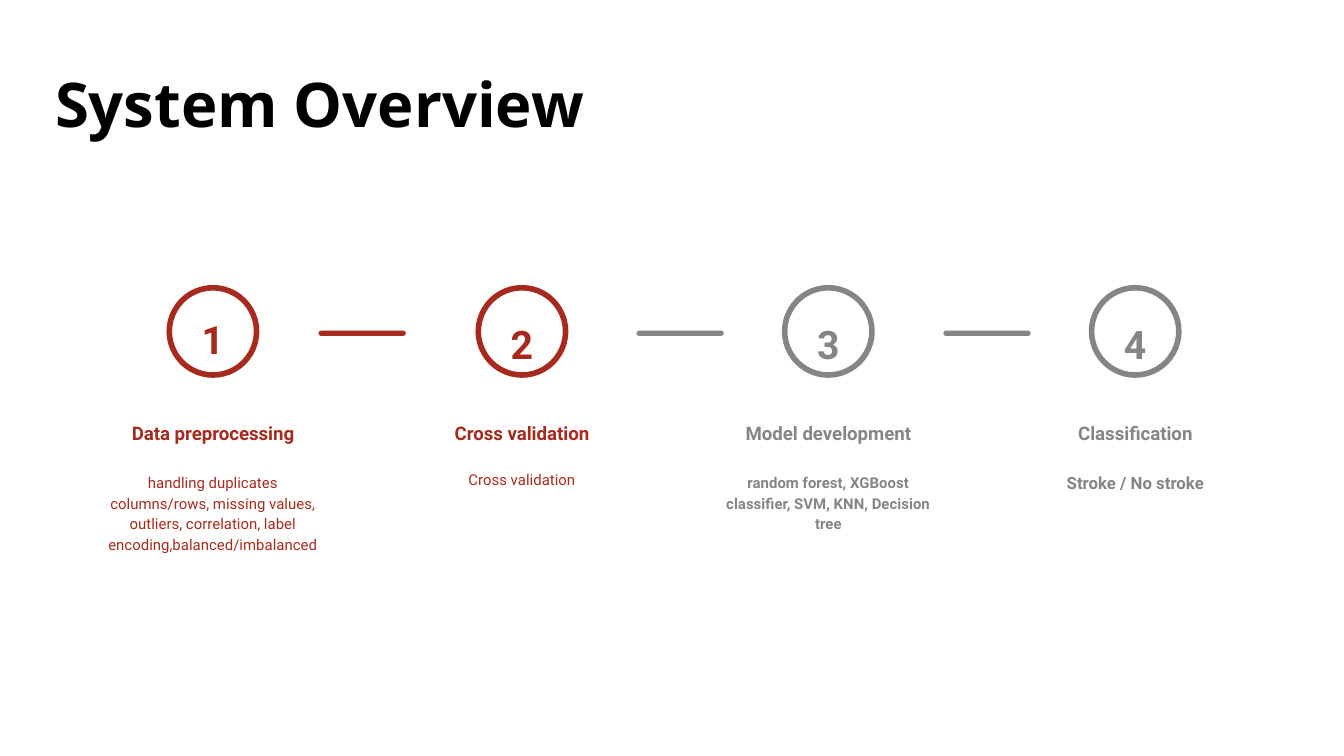
import pptx
import pptx.dml.color
import pptx.enum.shapes
import pptx.enum.text
import pptx.util

Cm = pptx.util.Cm
Pt = pptx.util.Pt
SHAPE = pptx.enum.shapes.MSO_SHAPE
ALIGN = pptx.enum.text.PP_ALIGN
ANCHOR = pptx.enum.text.MSO_ANCHOR

COLORS = {"title": "000000", "active": "A72A1E", "muted": "858585"}
STEP_TOP, STEP_WIDTH = 5.44, 4.75
CIRCLE = 1.65
BAR_WIDTH, BAR_HEIGHT = 1.65, 0.1

STEPS = [
    dict(left=1.65, color="active", heading="Data preprocessing",
         body="handling duplicates columns/rows, missing values, outliers, "
              "correlation, label encoding,balanced/imbalanced",
         number_top=0.13),
    dict(left=7.49, color="active", heading="Cross validation",
         body="Cross validation", bar_offset=1.47),
    dict(left=13.28, color="muted", heading="Model development",
         body="random forest, XGBoost classifier, SVM, KNN, Decision tree",
         body_bold=True, bar_offset=1.25),
    dict(left=19.08, color="muted", heading="Classification",
         body="Stroke / No stroke", body_size=9, body_bold=True, bar_offset=1.25),
]


def rgb(name):
    """Return the named palette colour."""
    return pptx.dml.color.RGBColor.from_string(COLORS[name])


def set_font(p, name, size, color, bold):
    """Format the font of a paragraph."""
    p.font.name = name
    p.font.size = Pt(size)
    p.font.bold = bold
    p.font.color.rgb = rgb(color)


def add_title(s, text, left, top, width, height):
    """Place and format the title placeholder in the given box."""
    sp = s.shapes.title
    sp.left, sp.top, sp.width, sp.height = map(Cm, (left, top, width, height))
    tf = sp.text_frame
    tf.text = text
    tf.auto_size = pptx.enum.text.MSO_AUTO_SIZE.NONE
    tf.vertical_anchor = ANCHOR.MIDDLE
    tf.margin_left = tf.margin_right = Cm(0.18)
    tf.margin_top = tf.margin_bottom = Cm(0.1)
    p = tf.paragraphs[0]
    p.alignment = ALIGN.LEFT
    p.line_spacing = 0.9
    set_font(p, "Open Sans", 33, "title", True)


def add_text(shapes, text, box, size, color, bold, anchor=ANCHOR.TOP, after=16):
    """Add a centred text box at the given box."""
    tf = shapes.add_textbox(*map(Cm, box)).text_frame
    tf.word_wrap = True
    tf.vertical_anchor = anchor
    tf.margin_left = tf.margin_right = tf.margin_top = tf.margin_bottom = Cm(0.25)
    p = tf.paragraphs[0]
    p.text = text
    p.alignment = ALIGN.CENTER
    p.line_spacing = 1.15
    p.space_after = Pt(after)
    set_font(p, "Roboto", size, color, bold)


def add_step(s, number, left, top, width, color, heading, body,
             number_top=0.23, body_size=8, body_bold=False):
    """Add a numbered circle with a heading and description below it."""
    shapes = s.shapes.add_group_shape().shapes
    sp = shapes.add_shape(SHAPE.OVAL, Cm(left + (width - CIRCLE) / 2), Cm(top),
                          Cm(CIRCLE), Cm(CIRCLE))
    sp.shadow.inherit = False
    sp.fill.background()
    sp.line.color.rgb = rgb(color)
    sp.line.width = Pt(3)
    number_width = 1.22
    number_box = (left + (width - number_width) / 2, top + number_top,
                  number_width, 1.45)
    add_text(shapes, str(number), number_box, 21, color, True)
    add_text(shapes, heading, (left, top + 1.95, width, 1.25), 10, color, True,
             ANCHOR.BOTTOM, 0)
    add_text(shapes, body, (left, top + 3.22, width, 2.06), body_size, color,
             body_bold)


def add_bar(s, left, top, width, height, color):
    """Add a rounded bar between two steps."""
    sp = s.shapes.add_shape(SHAPE.ROUNDED_RECTANGLE,
                            *map(Cm, (left, top, width, height)))
    sp.adjustments[0] = 0.5
    sp.shadow.inherit = False
    sp.fill.solid()
    sp.fill.fore_color.rgb = rgb(color)
    sp.line.fill.background()


def add_process(s, steps, top, width):
    """Add the row of steps, each bar coloured like the step it leads to."""
    for number, step in enumerate(steps, 1):
        step = dict(step)
        offset = step.pop("bar_offset", None)
        if offset is not None:
            add_bar(s, step["left"] - offset, top + 0.81, BAR_WIDTH, BAR_HEIGHT,
                    step["color"])
        add_step(s, number, top=top, width=width, **step)


def main():
    """Build and save the presentation."""
    prs = pptx.Presentation()
    prs.slide_width, prs.slide_height = Cm(25.4), Cm(14.29)
    s = prs.slides.add_slide(prs.slide_layouts[5])
    add_title(s, "System Overview", 0.86, 1.24, 23.67, 1.6)
    add_process(s, STEPS, STEP_TOP, STEP_WIDTH)
    prs.save("out.pptx")


if __name__ == "__main__":
    main()
